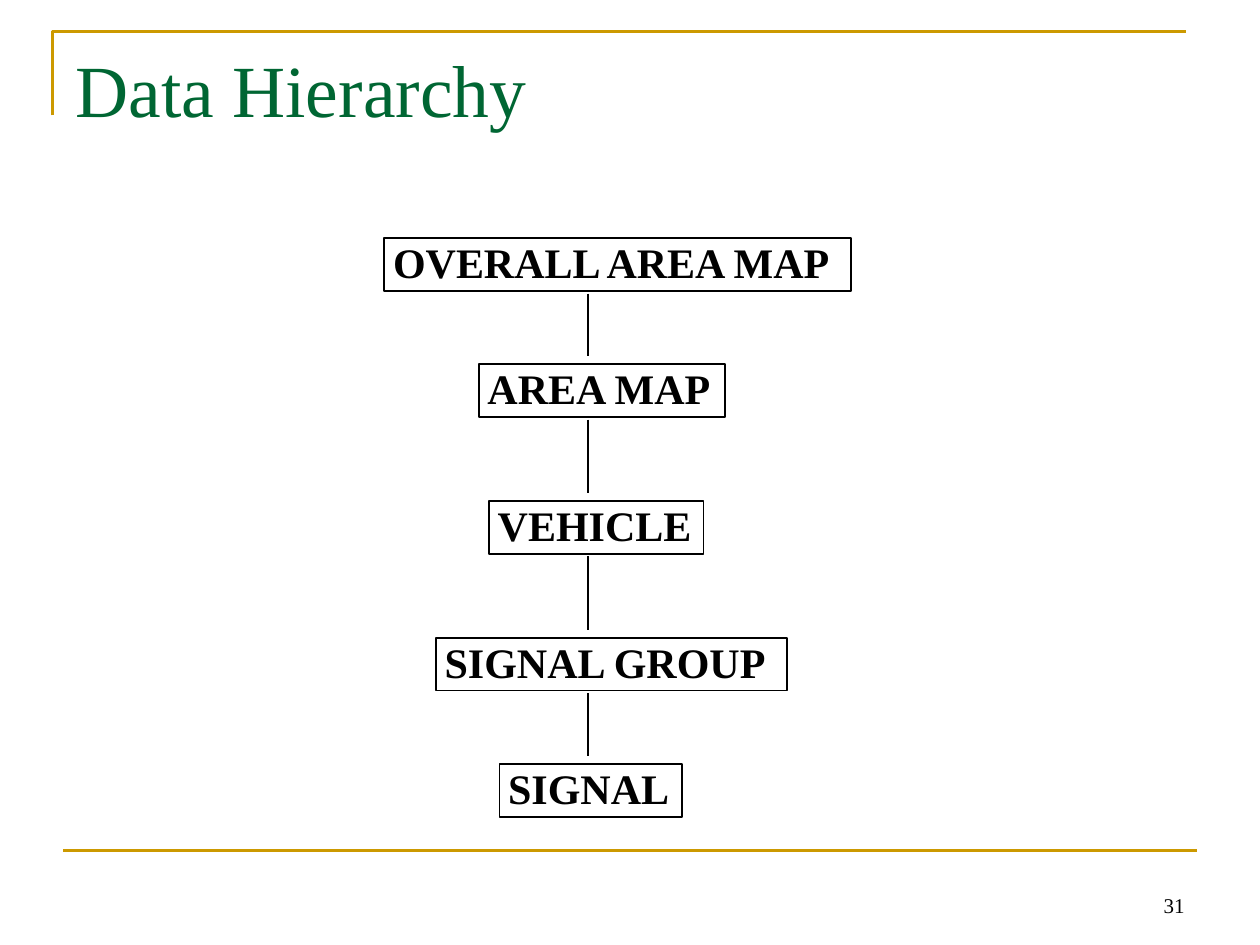
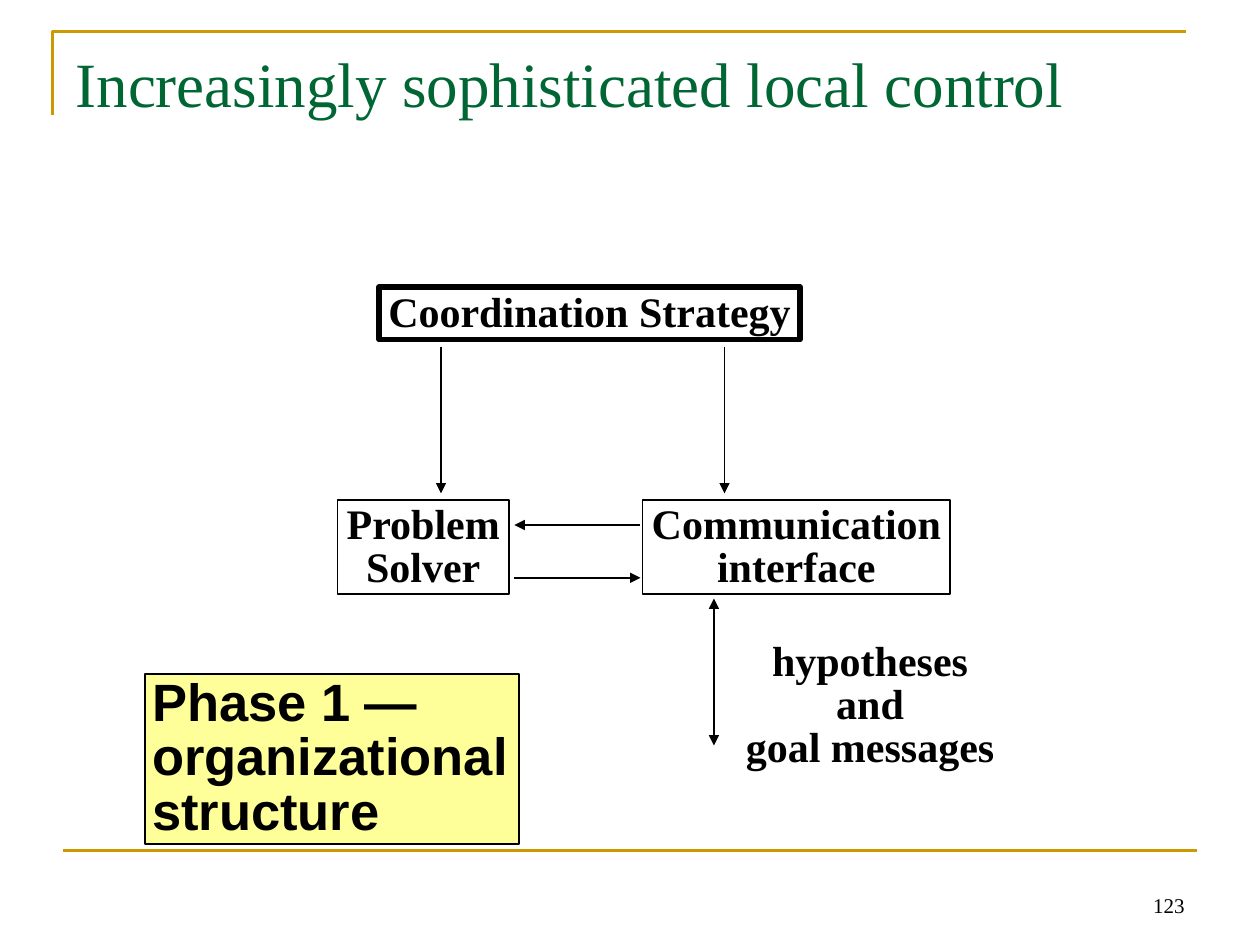
"""Build two slides on data hierarchy and local control."""
import itertools
from dataclasses import dataclass

import lxml.etree
import pptx
import pptx.dml.color
import pptx.enum.shapes
import pptx.enum.text
import pptx.oxml.ns
import pptx.util

Pt = pptx.util.Pt
RGB = pptx.dml.color.RGBColor
ALIGN = pptx.enum.text.PP_ALIGN
ANCHOR = pptx.enum.text.MSO_ANCHOR
qn = pptx.oxml.ns.qn


@dataclass(frozen=True)
class Theme:
    ink: RGB = RGB(0, 0, 0)
    green: RGB = RGB(0x00, 0x66, 0x33)
    gold: RGB = RGB(0xCC, 0x99, 0x00)
    yellow: RGB = RGB(0xFF, 0xFF, 0x99)
    serif: str = "Times New Roman"
    sans: str = "Arial"
    label: int = 24
    callout: int = 30
    number: int = 12
    thin: float = 1
    rule: float = 1.5
    thick: float = 3


theme = Theme()


def write(sp, lines, size, font=theme.serif, color=theme.ink, bold=False, align=ALIGN.LEFT,
          spacing=1.0, anchor=ANCHOR.TOP, inset=(7.2, 3.6), wrap=True):
    tf = sp.text_frame
    tf.auto_size = pptx.enum.text.MSO_AUTO_SIZE.NONE
    tf.word_wrap, tf.vertical_anchor = wrap, anchor
    tf.margin_left = tf.margin_right = Pt(inset[0])
    tf.margin_top = tf.margin_bottom = Pt(inset[1])
    for i, line in enumerate(lines):
        p = tf.add_paragraph() if i else tf.paragraphs[0]
        p.alignment, p.line_spacing = align, spacing
        r = p.add_run()
        r.text = line
        r.font.name, r.font.size, r.font.bold = font, Pt(size), bold
        r.font.color.rgb = color


def add_line(s, x1, y1, x2, y2, ends=(), color=theme.ink, width=theme.thin):
    cx = s.shapes.add_connector(pptx.enum.shapes.MSO_CONNECTOR.STRAIGHT,
                                Pt(x1), Pt(y1), Pt(x2), Pt(y2))
    cx.line.color.rgb, cx.line.width = color, Pt(width)
    for end in ends:
        lxml.etree.SubElement(cx.line._get_or_add_ln(), qn(f"a:{end}"), type="triangle")
    lxml.etree.SubElement(cx._element.spPr, qn("a:effectLst"))


prs = pptx.Presentation()
prs.slide_width, prs.slide_height = Pt(720), Pt(540)

slides = []
for title, title_size, number in [("Data Hierarchy", 42, "31"),
                                  ("Increasingly sophisticated local control", 36, "123")]:
    s = prs.slides.add_slide(prs.slide_layouts[5])
    corner = s.shapes.build_freeform(30, 66, scale=Pt(1))
    corner.add_line_segments([(30, 18), (678, 18)], close=False)
    sp = corner.convert_to_shape()
    sp.shadow.inherit = False
    sp.fill.background()
    sp.line.color.rgb, sp.line.width = theme.gold, Pt(theme.rule)
    add_line(s, 36, 486, 684, 486, color=theme.gold, width=theme.rule)

    sp = s.shapes.title
    sp.left, sp.top, sp.width, sp.height = Pt(36), Pt(21.6), Pt(648), Pt(90)
    write(sp, [title], title_size, color=theme.green)
    sp = s.shapes.add_textbox(Pt(516), Pt(492), Pt(168), Pt(36))
    write(sp, [number], theme.number, align=ALIGN.RIGHT, anchor=ANCHOR.BOTTOM)
    slides.append(s)

hierarchy, control = slides
box_height = 30.2
label = dict(size=theme.label, bold=True, inset=(5, 2.4))

levels = [
    ("OVERALL AREA MAP", 219.6, 136.1, 266.6),
    ("AREA MAP", 273.6, 208.1, 140.6),
    ("VEHICLE", 279.4, 286.3, 122.6),
    ("SIGNAL GROUP", 249.1, 364.4, 200.8),
    ("SIGNAL", 285.4, 436.7, 104.4),
]
for name, left, top, width in levels:
    sp = hierarchy.shapes.add_shape(pptx.enum.shapes.MSO_SHAPE.RECTANGLE,
                                    Pt(left), Pt(top), Pt(width), Pt(box_height))
    sp.shadow.inherit = False
    sp.fill.background()
    sp.line.color.rgb, sp.line.width = theme.ink, Pt(theme.thin)
    write(sp, [name], spacing=0.9, **label)
for upper, lower in itertools.pairwise(levels):
    add_line(hierarchy, 336, upper[2] + box_height + 1.5, 336, lower[2] - 4.4)

label.update(wrap=False, align=ALIGN.CENTER, inset=(4, 2.4))
callout = dict(label, size=theme.callout, font=theme.sans, align=ALIGN.LEFT)
components = [
    (["Problem", "Solver"], (192.8, 285.6, 98.2, 54), 0.87, theme.thin, None, label),
    (["Communication", "interface"], (367.2, 285.6, 175.8, 54), 0.87, theme.thin, None, label),
    (["Coordination Strategy"], (216.6, 164, 240.6, box_height), 0.9, theme.thick, None, label),
    (["Phase 1 —", "organizational", "structure"], (83, 385.2, 213.8, 97.2), 0.86,
     theme.thin, theme.yellow, callout),
]
for lines, box, spacing, border, fill, style in components:
    sp = control.shapes.add_shape(pptx.enum.shapes.MSO_SHAPE.RECTANGLE, *map(Pt, box))
    sp.shadow.inherit = False
    if fill:
        sp.fill.solid()
        sp.fill.fore_color.rgb = fill
    else:
        sp.fill.background()
    sp.line.color.rgb, sp.line.width = theme.ink, Pt(border)
    write(sp, lines, spacing=spacing, **style)

sp = control.shapes.add_textbox(Pt(421), Pt(364.8), Pt(152.4), Pt(77.8))
write(sp, ["hypotheses", "and", "goal messages"], spacing=0.85, **label)

for x in (252, 414):
    add_line(control, x, 198, x, 282, ["tailEnd"])
add_line(control, 294, 330.2, 366, 330.2, ["tailEnd"])
add_line(control, 366, 300, 294, 300, ["tailEnd"])
add_line(control, 408, 342, 408, 426, ["headEnd", "tailEnd"])

prs.save("out.pptx")
